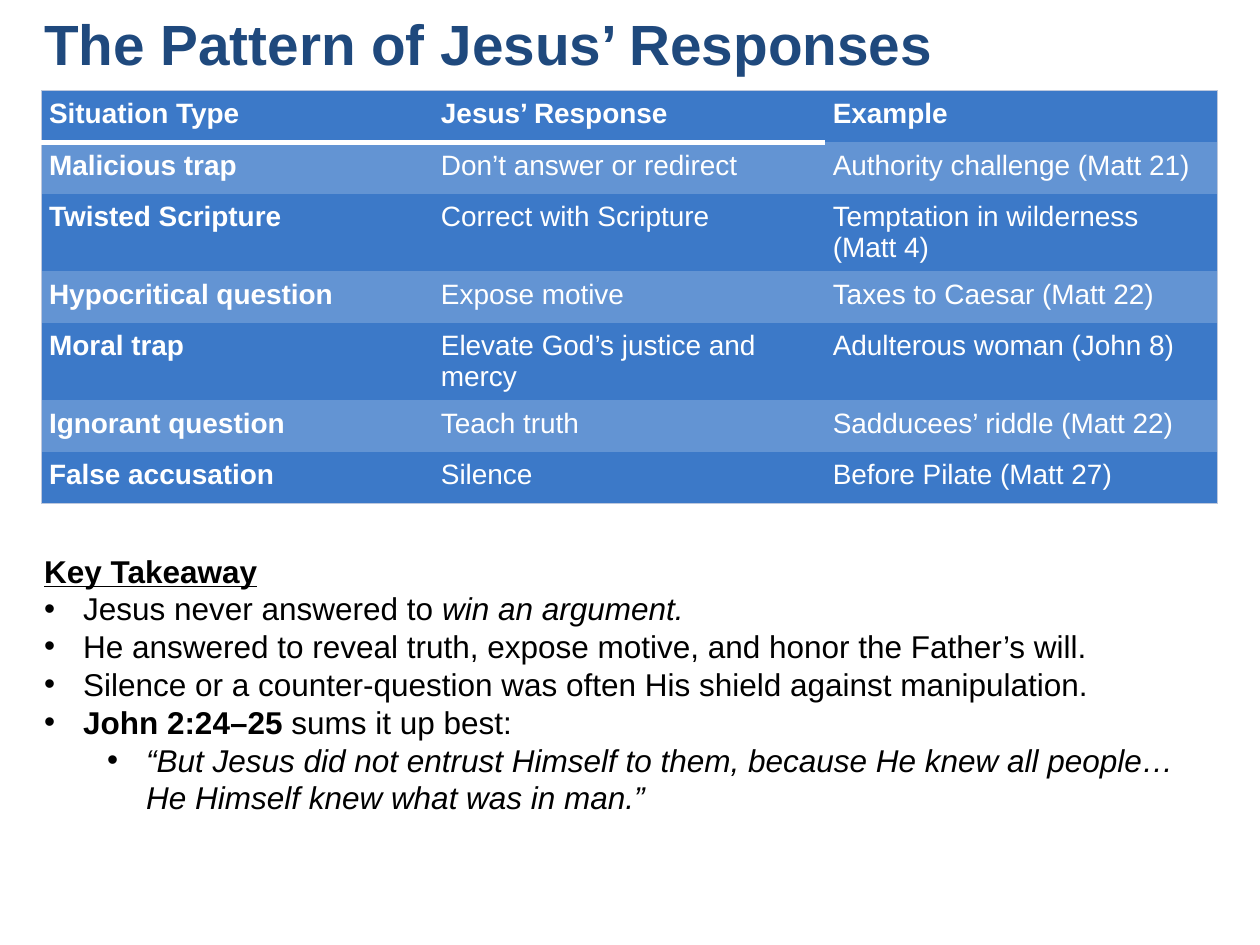
import pptx
import pptx.util
import pptx.oxml
import pptx.oxml.ns
import pptx.dml.color
import pptx.enum.text
import lxml.etree

Pt = pptx.util.Pt
RGB = pptx.dml.color.RGBColor
NAVY = RGB(0x1F, 0x49, 0x7D)
BLUE = RGB(0x3C, 0x79, 0xC8)
LIGHT = RGB(0x63, 0x94, 0xD3)
PALE = RGB(0xBD, 0xC8, 0xDD)
WHITE = RGB(0xFF, 0xFF, 0xFF)
BLACK = RGB(0, 0, 0)
WIDE, HIGH = pptx.util.Inches(10), pptx.util.Inches(7.5)

ROWS = [
    ("Situation Type", "Jesus’ Response", "Example"),
    ("Malicious trap", "Don’t answer or redirect", "Authority challenge (Matt 21)"),
    ("Twisted Scripture", "Correct with Scripture", "Temptation in wilderness (Matt 4)"),
    ("Hypocritical question", "Expose motive", "Taxes to Caesar (Matt 22)"),
    ("Moral trap", "Elevate God’s justice and mercy", "Adulterous woman (John 8)"),
    ("Ignorant question", "Teach truth", "Sadducees’ riddle (Matt 22)"),
    ("False accusation", "Silence", "Before Pilate (Matt 27)"),
]
POINTS = [
    (0, [("Jesus never answered to ", ""), ("win an argument.", "i")]),
    (0, [("He answered to reveal truth, expose motive, and honor the Father’s will.", "")]),
    (0, [("Silence or a counter-question was often His shield against manipulation.", "")]),
    (0, [("John 2:24–25", "b"), (" sums it up best:", "")]),
    (1, [("“But Jesus did not entrust Himself to them, because He knew all people… "
          "He Himself knew what was in man.”", "i")]),
]


def place(shape, left, top, width, height):
    """Set a shape's box in shares of the slide."""
    shape.left, shape.top = int(left * WIDE), int(top * HIGH)
    shape.width, shape.height = int(width * WIDE), int(height * HIGH)


def style(font, size, color, bold=False):
    """Set the font of a paragraph."""
    font.name, font.size, font.bold = "Arial", Pt(size), bold
    font.color.rgb = color


def indent(para, left, hang, mark=None):
    """Set the indent and bullet of a paragraph."""
    props = para._p.get_or_add_pPr()
    props.set("marL", str(pptx.util.Inches(left)))
    props.set("indent", str(pptx.util.Inches(hang)))
    tag = "a:buChar" if mark else "a:buNone"
    item = lxml.etree.SubElement(props, pptx.oxml.ns.qn(tag))
    if mark:
        item.set("char", mark)


def edge(cell, side, color=None, width=0.75):
    """Draw one side of a cell, or clear it."""
    fill = f'<a:solidFill><a:srgbClr val="{color}"/></a:solidFill>' if color else "<a:noFill/>"
    space = pptx.oxml.ns.nsdecls("a")
    line = pptx.oxml.parse_xml(f'<a:ln{side} {space} w="{Pt(width)}">{fill}</a:ln{side}>')
    cell._tc.get_or_add_tcPr().append(line)


def frame(cell, row, col):
    """Draw the outer border and the rule under the header."""
    last = len(ROWS) - 1
    rule = (WHITE, 3) if col < 2 else (None,)
    edge(cell, "L", PALE if col == 0 else None)
    edge(cell, "R", PALE if col == 2 else None)
    edge(cell, "T", *(rule if row == 1 else (PALE if row == 0 else None,)))
    edge(cell, "B", *(rule if row == 0 else (PALE if row == last else None,)))


def add_title(slide):
    """Fill the title placeholder."""
    title = slide.shapes.title
    place(title, 0.025, 0, 0.95, 0.09)
    text = title.text_frame
    text.text = "The Pattern of Jesus’ Responses"
    text.auto_size = pptx.enum.text.MSO_AUTO_SIZE.NONE
    text.vertical_anchor = pptx.enum.text.MSO_ANCHOR.MIDDLE
    para = text.paragraphs[0]
    para.alignment = pptx.enum.text.PP_ALIGN.LEFT
    style(para.font, 32.4, NAVY, True)


def add_grid(slide):
    """Add the table of situations and responses."""
    inch = pptx.util.Inches
    high = inch(0.41)
    table = slide.shapes.add_table(len(ROWS), 3, inch(0.33), inch(0.72),
                                   inch(9.33), high * len(ROWS)).table
    for row, words in enumerate(ROWS):
        table.rows[row].height = high
        for col, word in enumerate(words):
            cell = table.cell(row, col)
            cell.text = word
            cell.margin_left = cell.margin_right = inch(0.06)
            cell.margin_top = cell.margin_bottom = inch(0.06)
            frame(cell, row, col)
            cell.fill.solid()
            cell.fill.fore_color.rgb = LIGHT if row % 2 else BLUE
            style(cell.text_frame.paragraphs[0].font, 16, WHITE, row == 0 or col == 0)


def add_list(slide):
    """Fill the body placeholder with the takeaway."""
    body = slide.placeholders[1]
    place(body, 0.025, 0.577, 0.95, 0.296)
    text = body.text_frame
    text.auto_size = pptx.enum.text.MSO_AUTO_SIZE.NONE
    head = text.paragraphs[0]
    head.text = "Key Takeaway"
    head.space_before = Pt(0)
    indent(head, 0, 0)
    style(head.font, 18, BLACK, True)
    head.font.underline = True
    for level, parts in POINTS:
        para = text.add_paragraph()
        para.level = level
        para.space_before = Pt(0)
        indent(para, 0.31 + level * 0.5, -0.31, "•")
        style(para.font, 18, BLACK)
        for word, mark in parts:
            run = para.add_run()
            run.text = word
            if mark:
                run.font.bold, run.font.italic = mark == "b", mark == "i"


def main():
    """Build and save the slide."""
    deck = pptx.Presentation()
    deck.slide_width, deck.slide_height = WIDE, HIGH
    slide = deck.slides.add_slide(deck.slide_layouts[1])
    add_title(slide)
    add_list(slide)
    add_grid(slide)
    deck.save("out.pptx")


if __name__ == "__main__":
    main()
